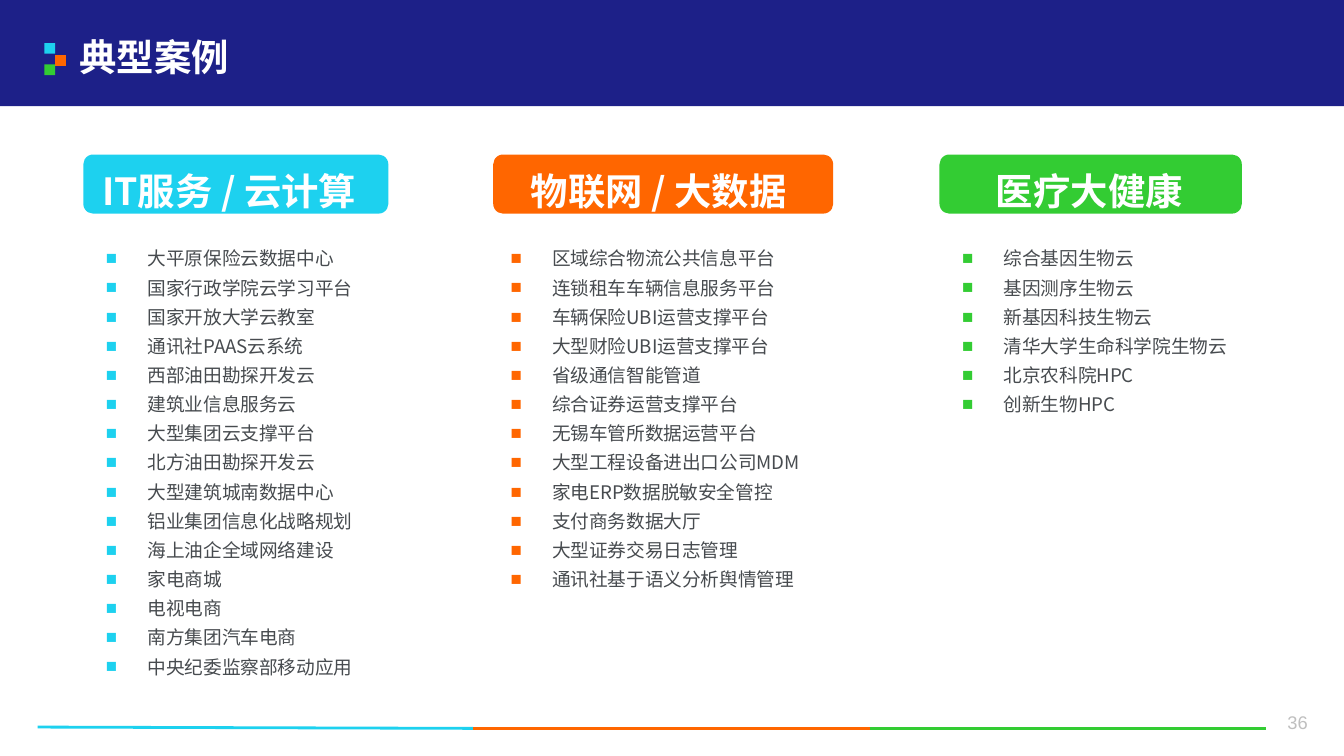
from lxml import etree
from pptx import Presentation
from pptx.dml.color import RGBColor
from pptx.enum.shapes import MSO_CONNECTOR, MSO_SHAPE
from pptx.enum.text import MSO_ANCHOR, MSO_AUTO_SIZE, PP_ALIGN
from pptx.oxml.ns import qn
from pptx.util import Inches, Pt

RECT, ROUNDED = MSO_SHAPE.RECTANGLE, MSO_SHAPE.ROUNDED_RECTANGLE
STRAIGHT = MSO_CONNECTOR.STRAIGHT
MIDDLE = MSO_ANCHOR.MIDDLE
GROW, FIXED = MSO_AUTO_SIZE.SHAPE_TO_FIT_TEXT, MSO_AUTO_SIZE.NONE
LEFT, CENTER = PP_ALIGN.LEFT, PP_ALIGN.CENTER
CJK = "Noto Sans CJK SC"
NAVY, CYAN, ORANGE, GREEN = "1D2088", "1DD1EF", "FF6600", "33CC33"
WHITE, GREY, TEXT = "FFFFFF", "BFBFBF", "474B4F"

TITLE = "典型案例"
PAGE = "36"
# boxes are left, top, width, height
COLUMNS = [
    {"heading": "IT服务 / 云计算", "color": CYAN,
     "pill": (0.62, 1.15, 2.27, 0.44), "label": (0.69, 1.01, 2.31, 0.71),
     "list": (0.69, 1.74, 2.71, 3.38),
     "cases": ["大平原保险云数据中心", "国家行政学院云学习平台", "国家开放大学云教室",
               "通讯社PAAS云系统", "西部油田勘探开发云", "建筑业信息服务云",
               "大型集团云支撑平台", "北方油田勘探开发云", "大型建筑城南数据中心",
               "铝业集团信息化战略规划", "海上油企全域网络建设", "家电商城", "电视电商",
               "南方集团汽车电商", "中央纪委监察部移动应用"]},
    {"heading": "物联网 / 大数据", "color": ORANGE,
     "pill": (3.67, 1.15, 2.53, 0.44), "label": (3.88, 1, 2.32, 0.73),
     "list": (3.7, 1.74, 2.95, 2.95),
     "cases": ["区域综合物流公共信息平台", "连锁租车车辆信息服务平台", "车辆保险UBI运营支撑平台",
               "大型财险UBI运营支撑平台", "省级通信智能管道", "综合证券运营支撑平台",
               "无锡车管所数据运营平台", "大型工程设备进出口公司MDM", "家电ERP数据脱敏安全管控",
               "支付商务数据大厅", "大型证券交易日志管理", "通讯社基于语义分析舆情管理"]},
    {"heading": "医疗大健康", "color": GREEN,
     "pill": (6.99, 1.15, 2.25, 0.44), "label": (7.34, 1, 1.94, 0.73),
     "list": (7.06, 1.74, 2.51, 1.41),
     "cases": ["综合基因生物云", "基因测序生物云", "新基因科技生物云",
               "清华大学生命科学院生物云", "北京农科院HPC", "创新生物HPC"]},
]
SQUARES = [(0.33, 0.32, CYAN), (0.41, 0.41, ORANGE), (0.33, 0.48, GREEN)]
RULES = [(0.28, 5.41, 3.52, CYAN), (3.52, 5.42, 6.47, ORANGE), (6.47, 5.42, 9.42, GREEN)]
RULE_END_Y = 5.42


def rgb(color):
    return RGBColor.from_string(color)


def inches(values):
    return [Inches(v) for v in values]


def add_block(s, kind, box, color):
    sp = s.shapes.add_shape(kind, *inches(box))
    sp.shadow.inherit = False
    sp.fill.solid()
    sp.fill.fore_color.rgb = rgb(color)
    sp.line.fill.background()


def add_rule(s, x1, y1, x2, color):
    line = s.shapes.add_connector(STRAIGHT, *inches((x1, y1, x2, RULE_END_Y)))
    line.line.color.rgb = rgb(color)
    line.line.width = Pt(1.5)
    etree.SubElement(line.element.spPr, qn("a:effectLst"))


def set_frame(tf, insets, wrap=True):
    tf.word_wrap = wrap
    tf.margin_left, tf.margin_top, tf.margin_right, tf.margin_bottom = inches(insets)


def add_run(p, text, size, color, font=CJK, bold=False):
    r = p.add_run()
    r.text = text
    r.font.size, r.font.bold, r.font.name = Pt(size), bold, font
    r.font.color.rgb = rgb(color)
    etree.SubElement(r.font._element, qn("a:ea"), typeface=CJK)


def add_bullet(p, color):
    pPr = p._p.get_or_add_pPr()
    pPr.set("marL", str(Inches(0.31)))
    pPr.set("indent", str(-Inches(0.31)))
    clr = etree.SubElement(pPr, qn("a:buClr"))
    etree.SubElement(clr, qn("a:srgbClr"), val=color)
    etree.SubElement(pPr, qn("a:buFont"), typeface="Arial")
    etree.SubElement(pPr, qn("a:buChar"), char="■")


def add_heading(s, box, text):
    tf = s.shapes.add_textbox(*inches(box)).text_frame
    set_frame(tf, (0.07, 0, 0, 0))
    tf.vertical_anchor = MIDDLE
    p = tf.paragraphs[0]
    p.line_spacing = 1.3
    add_run(p, text, 20, WHITE, bold=True)


def add_cases(s, box, cases, color):
    tf = s.shapes.add_textbox(*inches(box)).text_frame
    set_frame(tf, (0.1, 0.05, 0.1, 0.05))
    tf.auto_size = GROW
    for i, case in enumerate(cases):
        p = tf.add_paragraph() if i else tf.paragraphs[0]
        p.line_spacing = 1.3
        add_bullet(p, color)
        add_run(p, case, 10, TEXT)


def add_title(s):
    title = s.shapes.title
    title.left, title.top, title.width, title.height = inches((0.52, 0.2, 9.17, 0.48))
    title.element.getparent().append(title.element)  # in front of the band
    tf = title.text_frame
    set_frame(tf, (0.07, 0.04, 0.07, 0.04))
    tf.auto_size = FIXED
    tf.vertical_anchor = MIDDLE
    p = tf.paragraphs[0]
    p.alignment = LEFT
    p.line_spacing = 0.9
    add_run(p, TITLE, 20, WHITE, "Calibri", True)


def add_page_number(s):
    tf = s.shapes.add_textbox(*inches((9.37, 5.21, 0.57, 0.37))).text_frame
    set_frame(tf, (0.2, 0.1, 0.2, 0.1), wrap=False)
    tf.auto_size = GROW
    p = tf.paragraphs[0]
    p.alignment = CENTER
    add_run(p, PAGE, 9.8, GREY, "Arial")


def main():
    prs = Presentation()
    prs.slide_width, prs.slide_height = Inches(10), Pt(405)  # 16:9
    s = prs.slides.add_slide(prs.slide_layouts[5])
    add_block(s, RECT, (0, 0, 10, 0.79), NAVY)
    add_page_number(s)
    for rule in RULES:
        add_rule(s, *rule)
    for x, y, color in SQUARES:
        add_block(s, RECT, (x, y, 0.08, 0.08), color)
    add_title(s)
    for col in COLUMNS:
        add_block(s, ROUNDED, col["pill"], col["color"])
        add_heading(s, col["label"], col["heading"])
        add_cases(s, col["list"], col["cases"], col["color"])
    prs.save("out.pptx")


if __name__ == "__main__":
    main()
